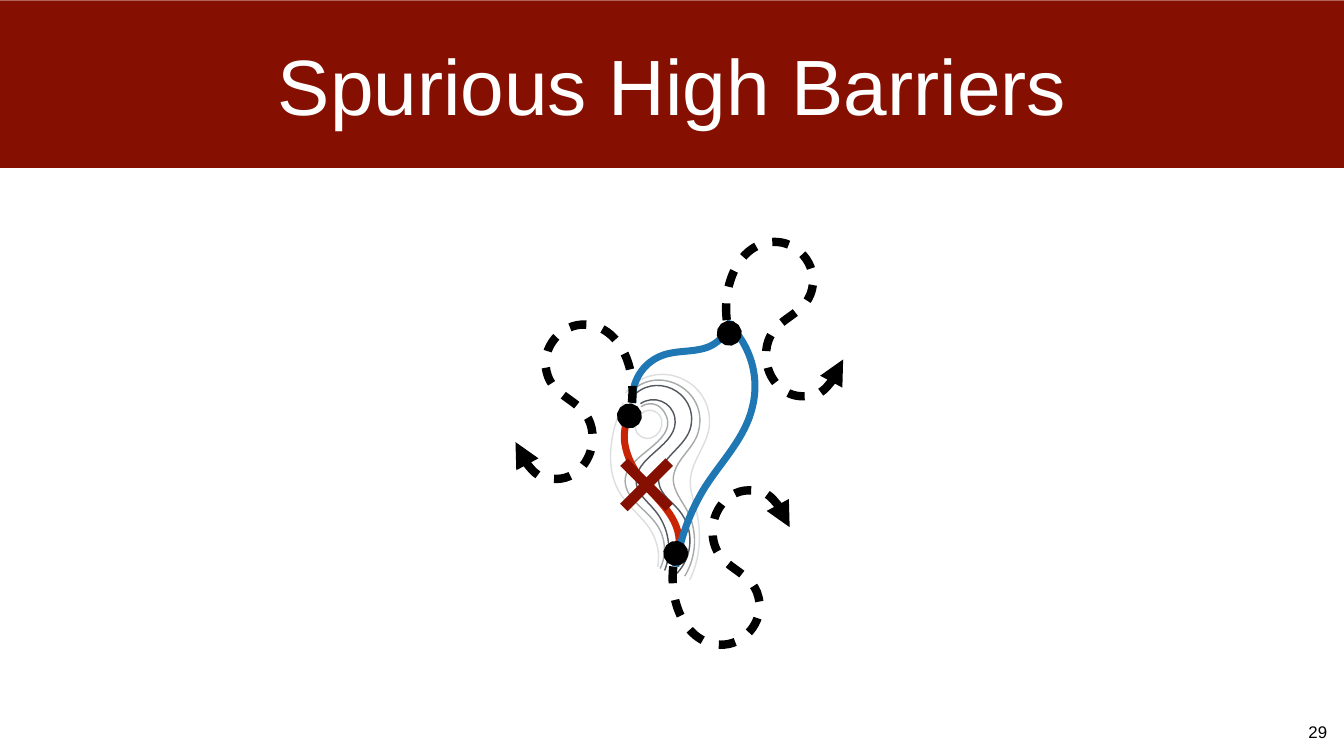
from lxml import etree
from pptx import Presentation
from pptx.dml.color import RGBColor
from pptx.enum.shapes import MSO_CONNECTOR
from pptx.enum.text import MSO_ANCHOR, MSO_AUTO_SIZE, PP_ALIGN
from pptx.oxml.ns import qn
from pptx.util import Inches, Pt

MAROON = RGBColor(0x85, 0x10, 0x01)
RED = RGBColor(0xC8, 0x25, 0x06)
BLUE = RGBColor(0x1F, 0x77, 0xB4)
DARK = RGBColor(0x53, 0x58, 0x5F)
MID = RGBColor(0xA6, 0xAA, 0xA9)
PALE = RGBColor(0xDC, 0xDE, 0xE0)
BLACK = RGBColor(0, 0, 0)
WHITE = RGBColor(0xFF, 0xFF, 0xFF)

TITLE = "Spurious High Barriers"
PAGE = "29"
CONTOURS = [
    (DARK, [(13.41, 11.4), (13.76, 11.05), (13.79, 10.5), (13.47, 10.12), (13.33, 9.95),
            (13.13, 9.83), (13.08, 9.61), (12.97, 9.13), (13.62, 8.9), (13.71, 8.46),
            (13.85, 7.76), (12.96, 7.35), (12.52, 7.91)]),
    (MID, [(13.59, 11.43), (13.83, 11.03), (13.85, 10.53), (13.63, 10.12), (13.52, 9.92),
           (13.37, 9.74), (13.36, 9.52), (13.36, 9.14), (13.77, 8.92), (13.86, 8.56),
           (14.08, 7.72), (13.01, 7.17), (12.46, 7.84)]),
    (PALE, [(13.69, 11.5), (13.79, 11.3), (13.85, 11.08), (13.87, 10.85), (13.89, 10.63),
            (13.88, 10.4), (13.83, 10.18), (13.77, 9.96), (13.69, 9.75), (13.7, 9.53),
            (13.72, 9.13), (14.06, 8.81), (14.08, 8.41), (14.12, 7.49), (12.96, 7.07),
            (12.41, 7.8)]),
    (DARK, [(13.19, 11.32), (13.35, 10.91), (13.27, 10.44), (12.98, 10.11), (12.85, 9.95),
            (12.67, 9.82), (12.63, 9.61), (12.54, 9.05), (13.5, 8.85), (13.39, 8.28),
            (13.33, 7.97), (12.97, 7.83), (12.71, 8.01)]),
    (MID, [(13.1, 11.28), (13.24, 10.99), (13.21, 10.65), (13.02, 10.39), (12.8, 10.08),
           (12.36, 9.87), (12.41, 9.48), (12.47, 8.98), (13.59, 8.72), (13.15, 8.13),
           (13.05, 8), (12.86, 7.97), (12.72, 8.07)]),
    (PALE, [(12.99, 8.16), (12.87, 8.1), (12.72, 8.17), (12.65, 8.3), (12.58, 8.42),
            (12.59, 8.58), (12.7, 8.65), (13.02, 8.86), (13.33, 8.34), (12.99, 8.16)]),
    (PALE, [(13.05, 11.25), (13.1, 11.01), (13.05, 10.76), (12.93, 10.55), (12.77, 10.27),
            (12.49, 10.08), (12.32, 9.81), (12.06, 9.41), (12.08, 8.92), (12.2, 8.46),
            (12.25, 8.3), (12.3, 8.14), (12.37, 7.99)]),
]
UPPER_ROUTE = [(12.56, 8), (12.51, 7.58), (12.76, 7.19), (13.15, 7.05), (13.45, 6.94),
               (13.8, 7), (14.09, 6.87), (14.3, 6.77), (14.45, 6.58), (14.5, 6.36)]
BARRIER_ROUTE = [(13.37, 11.21), (13.48, 11.01), (13.51, 10.77), (13.45, 10.54),
                 (13.36, 10.2), (13.09, 9.95), (12.86, 9.68), (12.62, 9.4), (12.42, 9.08),
                 (12.39, 8.72), (12.38, 8.49), (12.44, 8.26), (12.57, 8.07)]
RIGHT_ROUTE = [(13.41, 11.24), (13.5, 10.67), (13.7, 10.13), (14, 9.65), (14.33, 9.14),
               (14.79, 8.68), (14.93, 8.08), (15.08, 7.49), (14.9, 6.86), (14.46, 6.43)]
CURL = [(2.32, 0.73), (2.18, 0.28), (1.85, -0.01), (1.49, 0), (1.05, 0.01), (0.7, 0.49),
        (0.81, 1.01), (0.93, 1.55), (1.49, 1.57), (1.67, 2.02), (1.87, 2.53), (1.47, 3.03),
        (1.02, 3.06), (0.32, 3.11), (-0.18, 2.15), (0.06, 1.25)]
CURL_WIDTH = 2.32
CROSS_LEFT, CROSS_TOP, CROSS_SIZE = 12.38, 9.17, 0.9


def bezier(p0, p1, p2, p3, t):
    u = 1 - t
    return tuple(u**3 * a + 3 * u * u * t * b + 3 * u * t * t * c + t**3 * d
                 for a, b, c, d in zip(p0, p1, p2, p3))


def add_point(parent, point, left, top):
    etree.SubElement(parent, qn("a:pt"), x=str(Inches(point[0]) - left),
                     y=str(Inches(point[1]) - top))


def add_curve(points, color, width):
    samples = [bezier(*points[i:i + 4], step / 40)
               for i in range(0, len(points) - 1, 3) for step in range(1, 41)]
    closed = points[0] == points[-1]
    builder = shapes.build_freeform(Inches(points[0][0]), Inches(points[0][1]))
    builder.add_line_segments([(Inches(x), Inches(y)) for x, y in samples], close=closed)
    curve = builder.convert_to_shape()
    outline = curve._element.find(".//" + qn("a:path"))
    for segment in list(outline):
        outline.remove(segment)
    start = etree.SubElement(outline, qn("a:moveTo"))
    add_point(start, points[0], curve.left, curve.top)
    for i in range(1, len(points), 3):
        segment = etree.SubElement(outline, qn("a:cubicBezTo"))
        for point in points[i:i + 3]:
            add_point(segment, point, curve.left, curve.top)
    if closed:
        etree.SubElement(outline, qn("a:close"))
    curve.fill.background()
    curve.line.color.rgb = color
    curve.line.width = Pt(width)
    curve.shadow.inherit = False
    return curve


def add_curl(left, top, rotation=0, mirrored=False):
    points = [(left + (CURL_WIDTH - x if mirrored else x), top + y) for x, y in CURL]
    curl = add_curve(points, BLACK, 12)
    curl.rotation = rotation
    stroke = curl.line._get_or_add_ln()
    dashes = etree.SubElement(stroke, qn("a:custDash"))
    etree.SubElement(dashes, qn("a:ds"), d="200000", sp="200000")
    etree.SubElement(stroke, qn("a:headEnd"), type="triangle")
    etree.SubElement(stroke, qn("a:tailEnd"), type="oval")


def add_cross():
    cross = shapes.add_group_shape().shapes
    right, bottom = CROSS_LEFT + CROSS_SIZE, CROSS_TOP + CROSS_SIZE
    for x1, x2 in [(CROSS_LEFT, right), (right, CROSS_LEFT)]:
        bar = cross.add_connector(MSO_CONNECTOR.STRAIGHT, Inches(x1), Inches(bottom),
                                  Inches(x2), Inches(CROSS_TOP))
        bar.line.color.rgb = MAROON
        bar.line.width = Pt(15)
        etree.SubElement(bar._element.spPr, qn("a:effectLst"))


def write(shape, text, size, color, **frame_format):
    frame = shape.text_frame
    margins = dict.fromkeys(
        ("margin_left", "margin_top", "margin_right", "margin_bottom"), Inches(0.08))
    for attribute, value in {**margins, **frame_format}.items():
        setattr(frame, attribute, value)
    paragraph = frame.paragraphs[0]
    paragraph.text = text
    paragraph.alignment = PP_ALIGN.CENTER
    paragraph.font.name = "Arial"
    paragraph.font.size = Pt(size)
    paragraph.font.color.rgb = color


deck = Presentation()
deck.slide_width, deck.slide_height = Inches(26.67), Inches(15)
slide = deck.slides.add_slide(deck.slide_layouts[5])
shapes = slide.shapes

title = shapes.title
title.left, title.top = 0, Inches(0.01)
title.width, title.height = Inches(26.67), Inches(3.32)
title.fill.solid()
title.fill.fore_color.rgb = MAROON
write(title, TITLE, 112, WHITE, vertical_anchor=MSO_ANCHOR.MIDDLE,
      auto_size=MSO_AUTO_SIZE.NONE, word_wrap=True)
page = shapes.add_textbox(Inches(25.88), Inches(14.23), Inches(0.54), Inches(0.56))
write(page, PAGE, 24, BLACK, auto_size=MSO_AUTO_SIZE.SHAPE_TO_FIT_TEXT, word_wrap=False)

for color, contour in CONTOURS:
    add_curve(contour, color, 2)
add_curve(UPPER_ROUTE, BLUE, 10)
add_curve(BARRIER_ROUTE, RED, 10)
add_curl(10.23, 6.44, rotation=180)
add_cross()
add_curve(RIGHT_ROUTE, BLUE, 10)
add_curl(14.41, 4.8, rotation=180, mirrored=True)
add_curl(13.35, 9.73)

deck.save("out.pptx")
